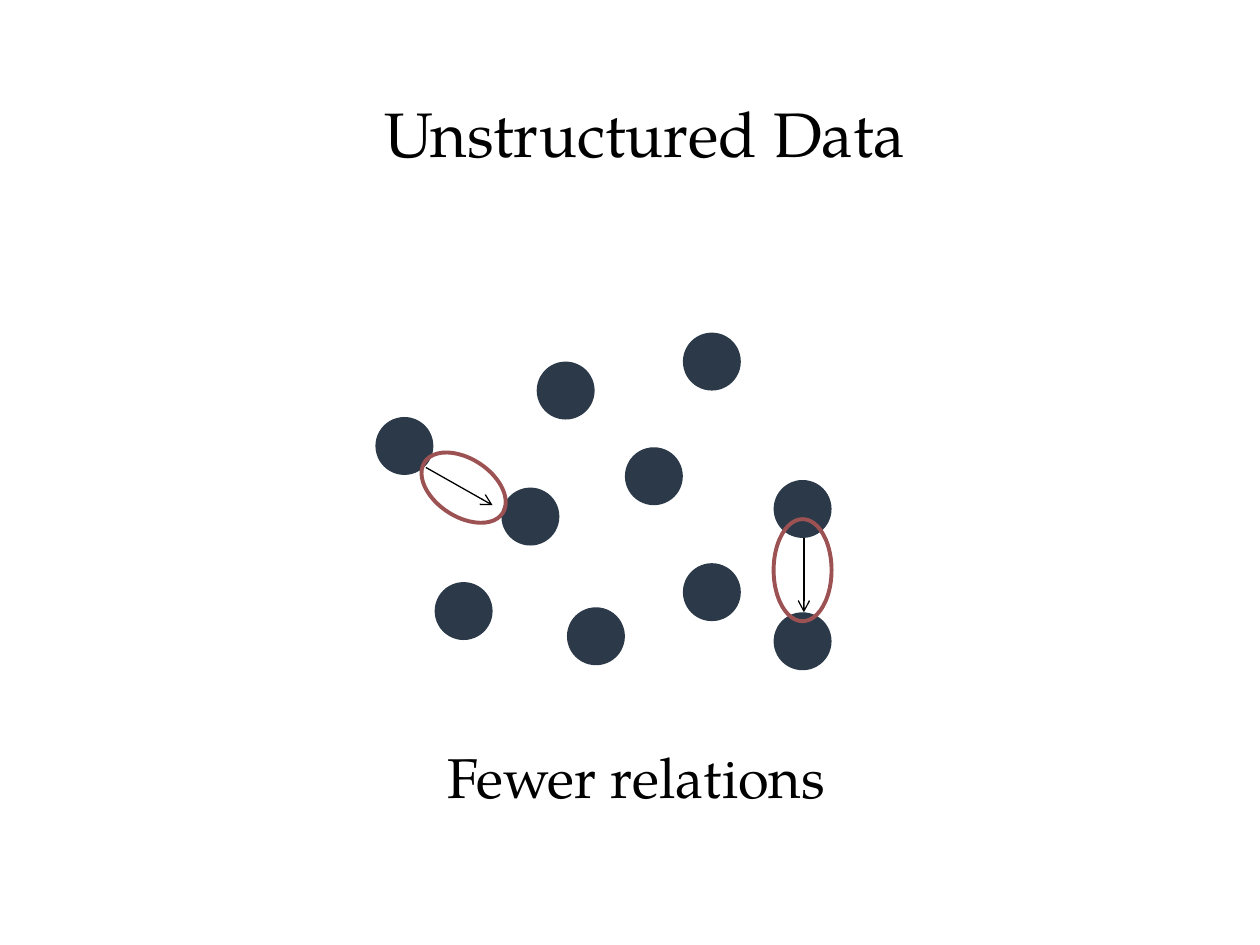
from lxml import etree
from pptx import Presentation
from pptx.dml.color import RGBColor
from pptx.enum.shapes import MSO_CONNECTOR, MSO_SHAPE
from pptx.enum.text import MSO_AUTO_SIZE
from pptx.oxml.ns import qn
from pptx.util import Inches, Pt

OVAL = MSO_SHAPE.OVAL
LINE = MSO_CONNECTOR.STRAIGHT
GROW = MSO_AUTO_SIZE.SHAPE_TO_FIT_TEXT
NAVY = RGBColor(0x2B, 0x39, 0x49)
RED = RGBColor(0x9C, 0x52, 0x52)
BLACK = RGBColor(0, 0, 0)
FONT = "TeX Gyre Pagella"
DOT = 0.46


def add_oval(left, top, height):
    oval = shapes.add_shape(OVAL, Inches(left), Inches(top), Inches(DOT), Inches(height))
    oval.shadow.inherit = False
    return oval


def add_label(text, left, top, width, height, size):
    box = shapes.add_textbox(Inches(left), Inches(top), Inches(width), Inches(height))
    frame = box.text_frame
    frame.word_wrap = False
    frame.auto_size = GROW
    run = frame.paragraphs[0].add_run()
    run.text = text
    run.font.name = FONT
    run.font.size = Pt(size)
    run.font.color.rgb = BLACK


prs = Presentation()
prs.slide_width = Inches(10)
prs.slide_height = Inches(7.5)
slide = prs.slides.add_slide(prs.slide_layouts[6])
shapes = slide.shapes

# Data points
dots = [
    (5.42, 2.64), (2.98, 3.31), (3.45, 4.62), (6.14, 4.86), (5.42, 4.47),
    (6.14, 3.81), (4.96, 3.55), (4.26, 2.87), (3.98, 3.87), (4.5, 4.82),
]
for left, top in dots:
    dot = add_oval(left, top, DOT)
    dot.fill.solid()
    dot.fill.fore_color.rgb = NAVY
    dot.line.fill.background()

# Relations between points
for x1, y1, x2, y2 in [(3.38, 3.71, 3.91, 4.01), (6.38, 4.27, 6.38, 4.86)]:
    arrow = shapes.add_connector(LINE, Inches(x1), Inches(y1), Inches(x2), Inches(y2))
    arrow.line.color.rgb = BLACK
    arrow.line.width = Pt(0.75)
    props = arrow.line._get_or_add_ln()
    etree.SubElement(props, qn("a:tailEnd"), type="arrow")
    etree.SubElement(arrow._element.spPr, qn("a:effectLst"))

add_label("Unstructured Data", 2.95, 0.7, 4.37, 0.7, 36)

# Rings around the relations
for left, top, height, turn in [(6.14, 4.12, 0.81, 0), (3.45, 3.5, 0.74, 303.1)]:
    ring = add_oval(left, top, height)
    ring.rotation = turn
    ring.fill.background()
    ring.line.color.rgb = RED
    ring.line.width = Pt(2.25)

add_label("Fewer relations", 3.45, 5.84, 3.27, 0.64, 32)

prs.save("out.pptx")
